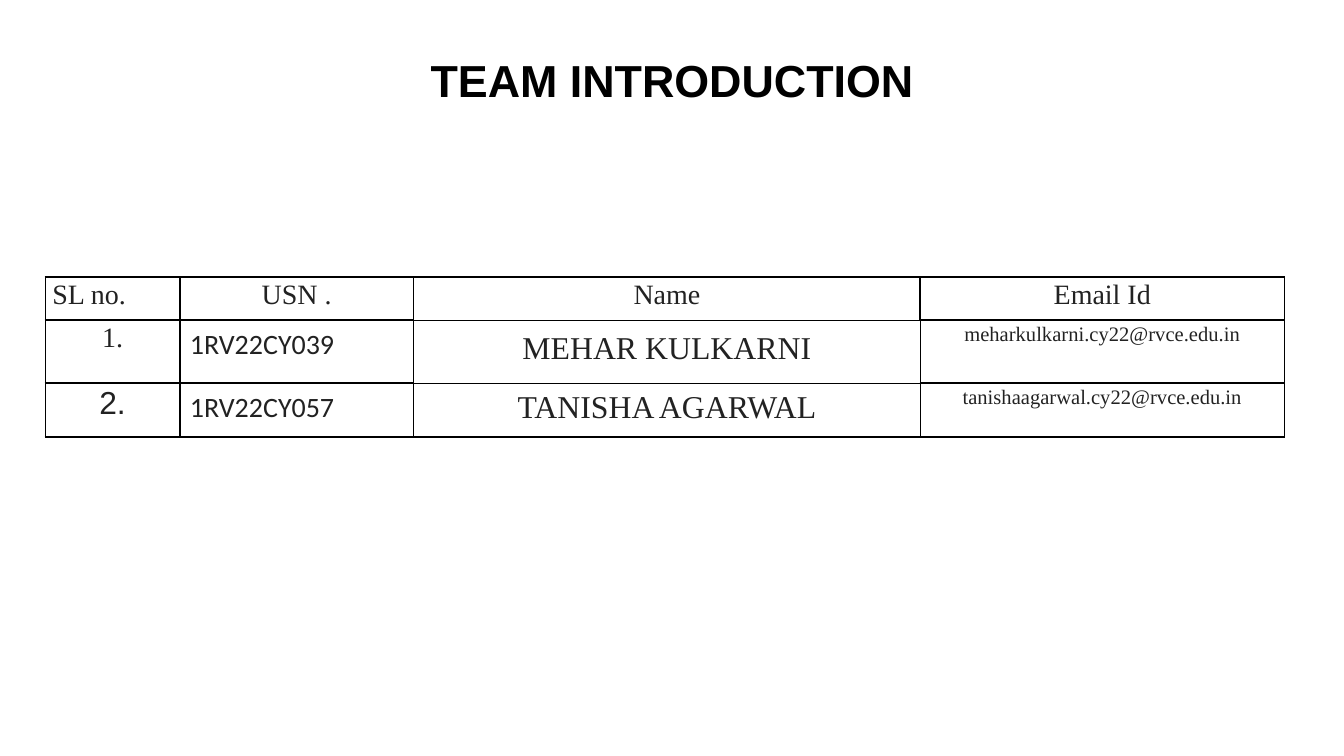
from dataclasses import dataclass

from lxml import etree
from pptx import Presentation
from pptx.dml.color import RGBColor
from pptx.enum import text as t
from pptx.oxml import ns
from pptx.util import Pt

LEFT, MID, RIGHT = t.PP_ALIGN.LEFT, t.PP_ALIGN.CENTER, t.PP_ALIGN.RIGHT
SERIF, SANS, CODE = "Times New Roman", "Arial", "Calibri"
INK, BLACK = "222222", "000000"
COLS = [72, 125.3, 271.4, 195.1]
ROWS = [23, 33.8, 28.8]


@dataclass
class Item:
    text: str
    size: float = 15
    face: str = SERIF
    align: t.PP_ALIGN = MID
    top: float = 1.5
    left: float = 0
    right: float = 0
    thin: str = ""


def paint(font, size: float, face: str, tint: str, bold: bool = False) -> None:
    font.size, font.name, font.bold = Pt(size), face, bold
    font.color.rgb = RGBColor.from_string(tint)


def edge(cell, thin: str) -> None:
    props = cell._tc.get_or_add_tcPr()
    for side in "LRTB":
        width = Pt(0.75 if side in thin else 1)
        line = etree.SubElement(props, ns.qn(f"a:ln{side}"), w=str(width))
        fill = etree.SubElement(line, ns.qn("a:solidFill"))
        etree.SubElement(fill, ns.qn("a:srgbClr"), val=BLACK)


def draw(cell, item: Item) -> None:
    edge(cell, item.thin)
    cell.fill.background()
    cell.margin_left, cell.margin_right = Pt(item.left), Pt(item.right)
    cell.margin_top, cell.margin_bottom = Pt(item.top), Pt(0)
    cell.vertical_anchor = t.MSO_ANCHOR.TOP
    cell.text = item.text
    para = cell.text_frame.paragraphs[0]
    para.alignment = item.align
    paint(para.font, item.size, item.face, INK)


def member(num: Item, usn: str, name: str, top: float, mail: str) -> list[Item]:
    return [
        num,
        Item(usn, face=CODE, align=RIGHT, top=4.3, right=42.5),
        Item(name, 17, top=top, thin="RTB"),
        Item(mail, 11, thin="L"),
    ]


def main() -> None:
    deck = Presentation()
    deck.slide_width, deck.slide_height = Pt(720), Pt(405)
    slide = deck.slides.add_slide(deck.slide_layouts[5])

    title = slide.shapes.title
    title.left, title.top, title.width, title.height = map(Pt, (180, 24.5, 360, 36))
    title.text = "TEAM INTRODUCTION"
    title.text_frame.vertical_anchor = t.MSO_ANCHOR.MIDDLE
    head = title.text_frame.paragraphs[0]
    head.alignment = MID
    paint(head.font, 24, SANS, BLACK, True)

    team = [
        [
            Item("SL no.", align=LEFT, left=3.75),
            Item("USN .", align=RIGHT, right=44),
            Item("Name", thin="B"),
            Item("Email Id"),
        ],
        member(Item("1."), "1RV22CY039", "MEHAR KULKARNI", 5.8,
               "meharkulkarni.cy22@rvce.edu.in"),
        member(Item("2.", 17, SANS), "1RV22CY057", "TANISHA AGARWAL", 3.6,
               "tanishaagarwal.cy22@rvce.edu.in"),
    ]
    frame = slide.shapes.add_table(len(ROWS), len(COLS), Pt(24.3), Pt(148.5),
                                   Pt(sum(COLS)), Pt(sum(ROWS)))
    table = frame.table
    table.first_row = table.horz_banding = False
    for col, width in zip(table.columns, COLS):
        col.width = Pt(width)
    for row, height, items in zip(table.rows, ROWS, team):
        row.height = Pt(height)
        for cell, item in zip(row.cells, items):
            draw(cell, item)

    deck.save("out.pptx")


if __name__ == "__main__":
    main()
